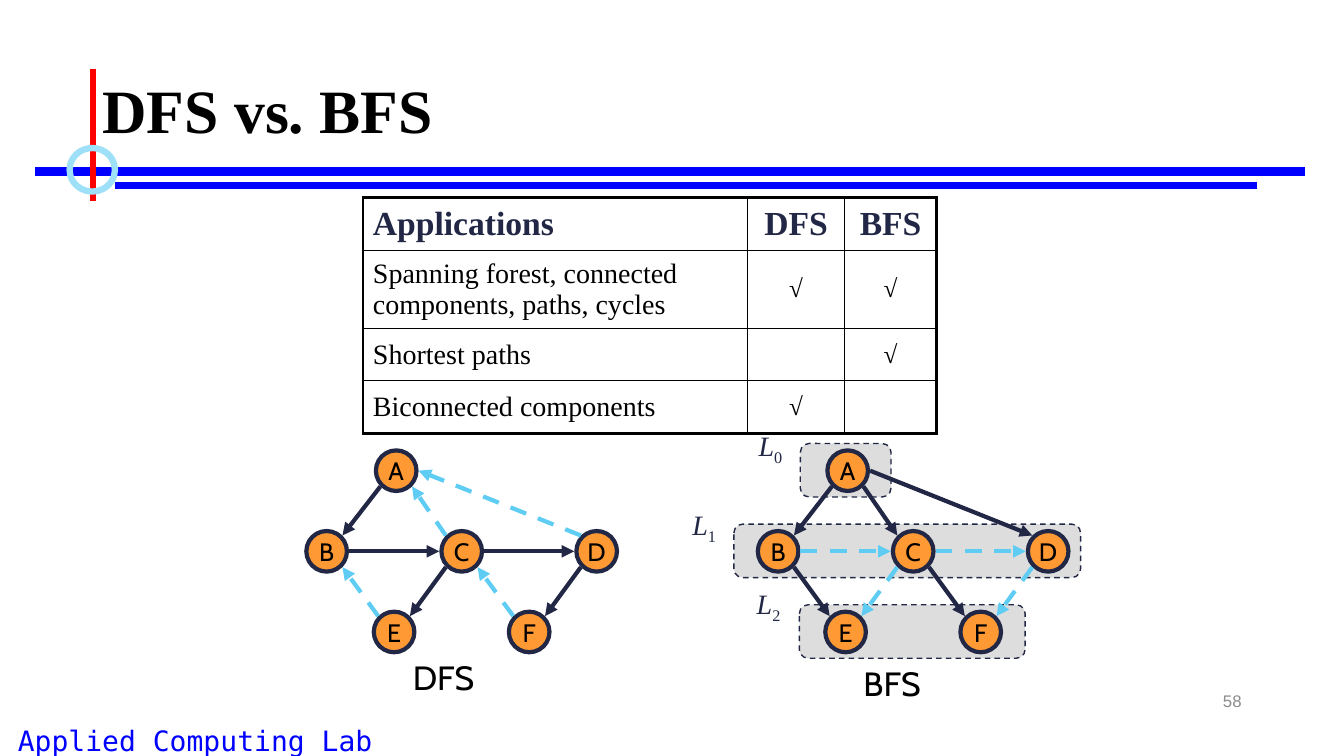
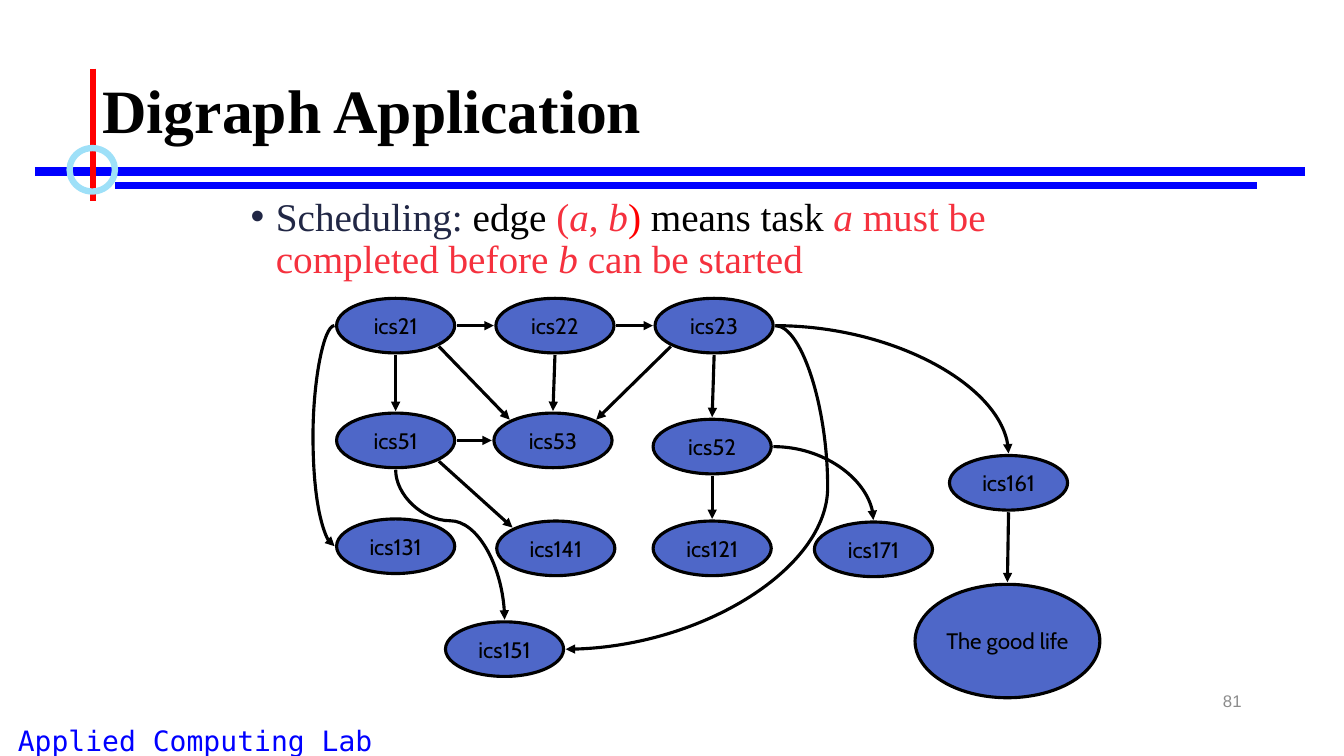
from math import cos, radians, sin

from lxml.etree import SubElement
from pptx import Presentation
from pptx.dml.color import RGBColor
from pptx.enum.dml import MSO_LINE
from pptx.enum.shapes import MSO_CONNECTOR, MSO_SHAPE
from pptx.enum.text import MSO_ANCHOR, PP_ALIGN
from pptx.oxml.ns import qn
from pptx.util import Pt

BLACK, NAVY, SKY, BLUE, RED = "000000", "212745", "5ECCF3", "0000FF", "FF0000"
ORANGE, INDIGO, GREY, CORAL = "FF9933", "4E67C8", "DDDDDD", "F5313E"
SERIF, SANS = "Times New Roman", "Cabin"
SITE_ANGLES = {"e": 0, "se": 45, "s": 90, "sw": 135, "w": 180, "nw": 225, "n": 270, "ne": 315}

GRAPH_NODES = {
    "A": (283, 336.2), "B": (233.3, 393.8), "C": (329.8, 393.8),
    "D": (426.2, 393.8), "E": (281.5, 451.4), "F": (378, 451.4),
}
DFS_TREE = [("A", "sw", "B", "ne"), ("B", "e", "C", "w"), ("C", "e", "D", "w"),
            ("C", "sw", "E", "ne"), ("D", "sw", "F", "ne")]
DFS_BACK = [("E", "nw", "B", "se"), ("C", "nw", "A", "se"),
            ("F", "nw", "C", "se"), ("D", "nw", "A", "e")]
BFS_TREE = [("A", "sw", "B", "ne"), ("A", "se", "C", "nw"), ("A", "e", "D", "nw"),
            ("B", "se", "E", "nw"), ("C", "se", "F", "nw")]
BFS_CROSS = [("B", "e", "C", "w"), ("C", "e", "D", "w"),
             ("C", "sw", "E", "ne"), ("D", "sw", "F", "ne")]
LEVELS = [((571.7, 316.8, 64.8, 38.2), (532, 302.4)),
          ((524.2, 374.4, 247.7, 38.2), (484.6, 359.3)),
          ((571, 432, 161.3, 38.2), (530.6, 415.4))]
APPLICATIONS = [
    ("Applications", "DFS", "BFS"),
    ("Spanning forest, connected components, paths, cycles", "√", "√"),
    ("Shortest paths", "", "√"),
    ("Biconnected components", "√", ""),
]

COURSES = {
    "ics21": (282.6, 232.6), "ics22": (396.4, 232.6), "ics23": (510.1, 232.6),
    "ics51": (282.6, 314.6), "ics53": (395, 314.6), "ics52": (508.7, 319),
    "ics131": (282.6, 390.2), "ics141": (397, 391.7), "ics121": (508.7, 391.7),
    "ics171": (623.9, 392.4), "ics161": (720.4, 344.9), "ics151": (360.4, 463.7),
}
GOAL = "The good life"
PREREQUISITES = [
    ("ics21", "e", "ics22", "w"), ("ics22", "e", "ics23", "w"),
    ("ics21", "s", "ics51", "n"), ("ics23", "s", "ics52", "n"),
    ("ics51", "e", "ics53", "w"), ("ics21", "se", "ics53", "nw"),
    ("ics22", "s", "ics53", "n"), ("ics23", "sw", "ics53", "ne"),
    ("ics52", "s", "ics121", "n"), ("ics51", "se", "ics141", "nw"),
    ("ics161", "s", GOAL, "n"),
]


def rgb(value):
    """Turn a hex string into a colour."""
    return RGBColor.from_string(value)


def write(paragraph, text, font, size, color, bold=False, italic=False, baseline=0):
    """Add one formatted run to a paragraph."""
    run = paragraph.add_run()
    run.text = text
    run.font.name, run.font.size = font, Pt(size)
    run.font.bold, run.font.italic = bold, italic
    run.font.color.rgb = rgb(color)
    if baseline:
        run.font._element.set("baseline", str(baseline))


def add_text_box(slide, box, align=PP_ALIGN.LEFT, anchor=MSO_ANCHOR.TOP):
    """Add a wrapping text box and return its paragraph."""
    frame = slide.shapes.add_textbox(*map(Pt, box)).text_frame
    frame.word_wrap = True
    frame.vertical_anchor = anchor
    paragraph = frame.paragraphs[0]
    paragraph.alignment = align
    return paragraph


def add_outlined(slide, kind, box, fill, color, width):
    """Add a preset shape with an outline and an optional fill."""
    shape = slide.shapes.add_shape(kind, *map(Pt, box))
    shape.shadow.inherit = False
    if fill:
        shape.fill.solid()
        shape.fill.fore_color.rgb = rgb(fill)
    else:
        shape.fill.background()
    shape.line.color.rgb = rgb(color)
    shape.line.width = Pt(width)
    return shape


def add_node(slide, label, center, size, fill, color, width, text_size):
    """Add a labelled ellipse around a centre point."""
    box = (center[0] - size[0] / 2, center[1] - size[1] / 2, *size)
    shape = add_outlined(slide, MSO_SHAPE.OVAL, box, fill, color, width)
    frame = shape.text_frame
    frame.word_wrap = False
    frame.vertical_anchor = MSO_ANCHOR.MIDDLE
    frame.margin_left = frame.margin_right = frame.margin_top = frame.margin_bottom = 0
    frame.paragraphs[0].alignment = PP_ALIGN.CENTER
    write(frame.paragraphs[0], label, SANS, text_size, BLACK)


def site(center, size, name, gap=1.5):
    """Return the point just outside an ellipse in a compass direction."""
    angle = radians(SITE_ANGLES[name])
    return (center[0] + (size[0] / 2 + gap) * cos(angle),
            center[1] + (size[1] / 2 + gap) * sin(angle))


def add_line(slide, start, end, color, width, dashed=False, arrow=False,
             kind=MSO_CONNECTOR.STRAIGHT):
    """Add a connector, optionally dashed or with an arrowhead."""
    connector = slide.shapes.add_connector(kind, *map(Pt, (*start, *end)))
    connector.line.color.rgb = rgb(color)
    connector.line.width = Pt(width)
    if dashed:
        connector.line.dash_style = MSO_LINE.DASH
    properties = connector._element.spPr
    if arrow:
        SubElement(properties.find(qn("a:ln")), qn("a:tailEnd"), type="triangle")
    SubElement(properties, qn("a:effectLst"))
    return connector


def add_curve(slide, start, end, preset, adjustment=None, rotation=0):
    """Add a curved arrow whose frame is turned by a multiple of 90 degrees."""
    middle = ((start[0] + end[0]) / 2, (start[1] + end[1]) / 2)
    cosine, sine = cos(radians(-rotation)), sin(radians(-rotation))

    def unturn(point):
        """Turn a point back into the unrotated frame."""
        across, down = point[0] - middle[0], point[1] - middle[1]
        return (middle[0] + across * cosine - down * sine,
                middle[1] + across * sine + down * cosine)

    connector = add_line(slide, unturn(start), unturn(end), BLACK, 2.25,
                         arrow=True, kind=MSO_CONNECTOR.CURVE)
    properties = connector._element.spPr
    if rotation:
        properties.find(qn("a:xfrm")).set("rot", str(rotation * 60000))
    geometry = properties.find(qn("a:prstGeom"))
    geometry.set("prst", preset)
    if adjustment is not None:
        SubElement(geometry.find(qn("a:avLst")), qn("a:gd"), name="adj1",
                   fmla=f"val {round(adjustment * 100000)}")


def add_edges(slide, nodes, sizes, edges, color, width, dashed=False):
    """Add straight arrows between sites of the given nodes."""
    for source, leave, target, enter in edges:
        add_line(slide, site(nodes[source], sizes[source], leave),
                 site(nodes[target], sizes[target], enter),
                 color, width, dashed, arrow=True)


def add_graph(slide, shift, solid, dashed):
    """Add the six-node graph with solid and dashed edges."""
    nodes = {name: (x + shift, y) for name, (x, y) in GRAPH_NODES.items()}
    sizes = dict.fromkeys(nodes, (29, 29))
    for name, center in nodes.items():
        add_node(slide, name, center, sizes[name], ORANGE, NAVY, 3, 18)
    add_edges(slide, nodes, sizes, solid, NAVY, 3)
    add_edges(slide, nodes, sizes, dashed, SKY, 3, dashed=True)


def add_levels(slide):
    """Add the dashed level boxes with their subscripted labels."""
    for index, (box, label) in enumerate(LEVELS):
        shape = add_outlined(slide, MSO_SHAPE.ROUNDED_RECTANGLE, box, GREY, NAVY, 1)
        shape.line.dash_style = MSO_LINE.DASH
        paragraph = add_text_box(slide, (*label, 36.7, 31), PP_ALIGN.CENTER)
        write(paragraph, "L", SERIF, 20, NAVY, italic=True)
        write(paragraph, str(index), SERIF, 20, NAVY, baseline=-25000)


def set_borders(cell, widths):
    """Give a cell black borders: left, right, top, bottom."""
    properties = cell._tc.get_or_add_tcPr()
    for side, width in zip("LRTB", widths):
        line = SubElement(properties, qn(f"a:ln{side}"), w=str(Pt(width)))
        SubElement(SubElement(line, qn("a:solidFill")), qn("a:srgbClr"), val=BLACK)


def add_applications_table(slide):
    """Add the table that compares the uses of both searches."""
    widths, heights = (275, 69, 66), (37.4, 56, 37.4, 37.4)
    last_row, last_column = len(heights) - 1, len(widths) - 1
    table = slide.shapes.add_table(len(heights), len(widths), Pt(259.2), Pt(141.3),
                                   Pt(sum(widths)), Pt(sum(heights))).table
    table.first_row = table.horz_banding = False
    for column, width in zip(table.columns, widths):
        column.width = Pt(width)
    for r, (row, height) in enumerate(zip(table.rows, heights)):
        row.height = Pt(height)
        for c, cell in enumerate(row.cells):
            outer = (c == 0, c == last_column, r == 0, r == last_row)
            set_borders(cell, [2.25 if edge else 1 for edge in outer])
            cell.fill.background()
            cell.vertical_anchor = MSO_ANCHOR.MIDDLE
            paragraph = cell.text_frame.paragraphs[0]
            paragraph.alignment = PP_ALIGN.CENTER if c else PP_ALIGN.LEFT
            size, color = (24, NAVY) if r == 0 else (18 if c else 20, BLACK)
            if APPLICATIONS[r][c]:
                write(paragraph, APPLICATIONS[r][c], SERIF, size, color,
                      bold=r == 0 or c > 0)


def add_scheduling_bullet(slide):
    """Add the bulleted sentence on scheduling."""
    paragraph = add_text_box(slide, (172, 137.5, 638.6, 90))
    paragraph.line_spacing = 0.9
    properties = paragraph._p.get_or_add_pPr()
    properties.set("marL", str(Pt(18)))
    properties.set("indent", str(-Pt(18)))
    SubElement(properties, qn("a:buFont"), typeface="Arial")
    SubElement(properties, qn("a:buChar"), char="•")
    for text, color, italic in [
        ("Scheduling:", NAVY, False), (" edge ", BLACK, False), ("(", CORAL, False),
        ("a", CORAL, True), (", ", CORAL, False), ("b", CORAL, True),
        (")", RED, False), (" means task ", BLACK, False), ("a", CORAL, True),
        (" must be completed before ", CORAL, False), ("b", CORAL, True),
        (" can be started", CORAL, False),
    ]:
        write(paragraph, text, SERIF, 28, color, italic=italic)


def add_course_graph(slide):
    """Add the course ellipses with straight and curved arrows."""
    nodes = {**COURSES, GOAL: (719.6, 457.9)}
    sizes = {**dict.fromkeys(COURSES, (84.4, 39)), GOAL: (132, 81)}
    for name, center in nodes.items():
        add_node(slide, name, center, sizes[name], INDIGO, BLACK, 2.25, 16)
    add_edges(slide, nodes, sizes, PREREQUISITES, BLACK, 2.25)
    for source, leave, target, enter, nudge, *form in [
        ("ics21", "w", "ics131", "w", 0.12, "curvedConnector3", -135, 180),
        ("ics51", "s", "ics151", "n", 0, "curvedConnector3", 0.34, 270),
        ("ics23", "e", "ics151", "e", 0, "curvedConnector3", -0.25),
        ("ics23", "e", "ics161", "n", 0, "curvedConnector2"),
        ("ics52", "e", "ics171", "n", 0, "curvedConnector2"),
    ]:
        x, y = site(nodes[target], sizes[target], enter)
        add_curve(slide, site(nodes[source], sizes[source], leave), (x + nudge, y), *form)


def add_framed_slide(presentation, title, number):
    """Add a slide with the shared title style, rules, footer and number."""
    slide = presentation.slides.add_slide(presentation.slide_layouts[5])
    shape = slide.shapes.title
    shape.left, shape.top, shape.width, shape.height = map(Pt, (66, 29, 828, 104.4))
    shape.text_frame.vertical_anchor = MSO_ANCHOR.MIDDLE
    paragraph = shape.text_frame.paragraphs[0]
    paragraph.alignment, paragraph.line_spacing = PP_ALIGN.LEFT, 0.9
    write(paragraph, title, SERIF, 44, BLACK, bold=True)
    write(add_text_box(slide, (5.6, 513, 300, 27)), "Applied Computing Lab",
          "DejaVu Sans Mono", 20, BLUE)
    add_line(slide, (25, 122.4), (932.4, 122.4), BLUE, 6)
    add_line(slide, (82, 132.5), (898, 132.5), BLUE, 4.5)
    add_line(slide, (66.2, 49), (66.2, 143.3), RED, 4.5)
    add_outlined(slide, MSO_SHAPE.OVAL, (49.7, 105.8, 32.4, 31), None, "9EE0F8", 4.5)
    write(add_text_box(slide, (678, 486, 216, 28.8), PP_ALIGN.RIGHT, MSO_ANCHOR.MIDDLE),
          number, "Arial", 12, "8C8C8C")
    return slide


def main():
    """Build and save both slides."""
    presentation = Presentation()
    presentation.slide_width, presentation.slide_height = Pt(960), Pt(540)

    comparison = add_framed_slide(presentation, "DFS vs. BFS", "58")
    add_levels(comparison)
    add_graph(comparison, 0, DFS_TREE, DFS_BACK)
    add_graph(comparison, 322.5, BFS_TREE, BFS_CROSS)
    for caption, left, top in [("DFS", 254.2, 465.8), ("BFS", 574.6, 470.2)]:
        write(add_text_box(comparison, (left, top, 125.3, 36), PP_ALIGN.CENTER),
              caption, SANS, 24, BLACK)
    add_applications_table(comparison)

    application = add_framed_slide(presentation, "Digraph Application", "81")
    add_scheduling_bullet(application)
    add_course_graph(application)
    presentation.save("out.pptx")


if __name__ == "__main__":
    main()
